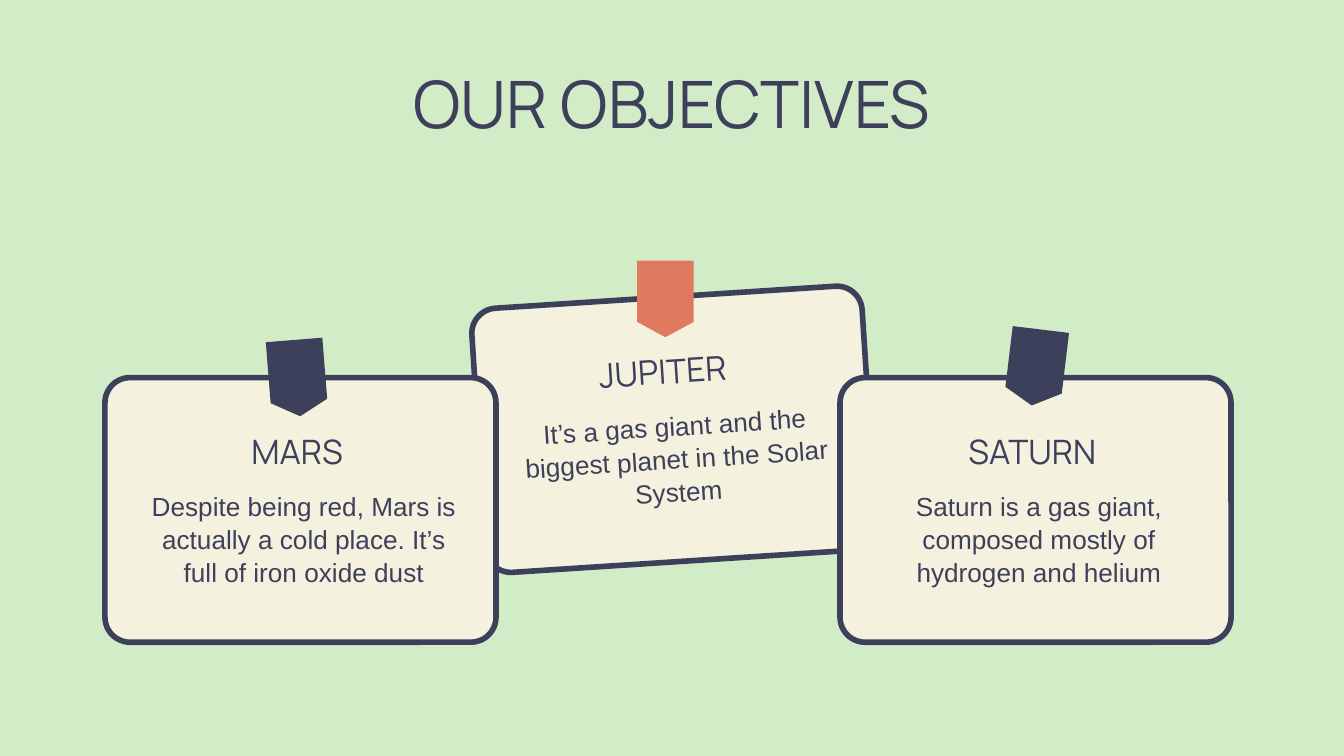
from pptx import Presentation
from pptx.dml.color import RGBColor
from pptx.enum.shapes import MSO_SHAPE
from pptx.enum.text import MSO_ANCHOR, PP_ALIGN
from pptx.util import Pt

MINT, CREAM, NAVY, CORAL = "D2ECC8", "F4F1DE", "3D405B", "E07A5F"
TITLE = "OUR OBJECTIVES"

# Back to front; pin and heading positions are measured from the card's corner.
CARDS = [
    dict(heading="JUPITER", body="It’s a gas giant and the biggest planet in the Solar System",
         left=256.3, top=159.1, tilt=356.3, heading_dx=15.8,
         pin=(85, -19.4), pin_tilt=0, pin_color=CORAL),
    dict(heading="SATURN", body="Saturn is a gas giant, composed mostly of hydrogen and helium",
         left=450, top=202.3, tilt=0, heading_dx=20.2,
         pin=(90, -25.9), pin_tilt=6.9, pin_color=NAVY),
    dict(heading="MARS", body="Despite being red, Mars is actually a cold place. It’s full of iron oxide dust",
         left=56.2, top=202.3, tilt=0, heading_dx=20.2,
         pin=(87.8, -20.2), pin_tilt=355.4, pin_color=NAVY),
]
CARD_SIZE = (209.5, 141.8)
PIN_SIZE = (30.4, 41)
HEADING_SIZE = (165.6, 25.9)
BODY_SIZE = (165.6, 66.2)
HEADING_DY, BODY_DX, BODY_DY = 24.5, 23.8, 59.8


def color(value):
    return RGBColor.from_string(value)


def add_shape(page, kind, left, top, size, fill, tilt):
    shape = page.shapes.add_shape(kind, Pt(left), Pt(top), *map(Pt, size))
    shape.shadow.inherit = False
    shape.rotation = tilt
    shape.fill.solid()
    shape.fill.fore_color.rgb = color(fill)
    shape.line.fill.background()
    return shape


def add_text(page, text, left, top, size, font, points, tilt=0,
             anchor=MSO_ANCHOR.TOP, spacing=1.0):
    box = page.shapes.add_textbox(Pt(left), Pt(top), *map(Pt, size))
    box.rotation = tilt
    frame = box.text_frame
    frame.word_wrap = True
    frame.vertical_anchor = anchor
    frame.margin_left = frame.margin_top = frame.margin_right = frame.margin_bottom = 0
    para = frame.paragraphs[0]
    para.text = text
    para.alignment = PP_ALIGN.CENTER
    para.line_spacing = spacing
    para.font.name = font
    para.font.size = Pt(points)
    para.font.color.rgb = color(NAVY)


def add_card(page, card):
    left, top, tilt = card["left"], card["top"], card["tilt"]
    panel = add_shape(page, MSO_SHAPE.ROUNDED_RECTANGLE, left, top, CARD_SIZE, CREAM, tilt)
    panel.adjustments[0] = 0.095
    panel.line.color.rgb = color(NAVY)
    panel.line.width = Pt(3)

    pin_dx, pin_dy = card["pin"]
    add_shape(page, MSO_SHAPE.FLOWCHART_OFFPAGE_CONNECTOR, left + pin_dx, top + pin_dy,
              PIN_SIZE, card["pin_color"], card["pin_tilt"])
    add_text(page, card["heading"], left + card["heading_dx"], top + HEADING_DY,
             HEADING_SIZE, "Manrope", 18, tilt, MSO_ANCHOR.BOTTOM)
    add_text(page, card["body"], left + BODY_DX, top + BODY_DY,
             BODY_SIZE, "Arial", 14, tilt, spacing=1.05)


deck = Presentation()
deck.slide_width, deck.slide_height = Pt(720), Pt(405)
page = deck.slides.add_slide(deck.slide_layouts[6])
page.background.fill.solid()
page.background.fill.fore_color.rgb = color(MINT)

add_text(page, TITLE, 56.2, 33.8, (607.6, 94.3), "Manrope", 35)
for card in CARDS:
    add_card(page, card)

deck.save("out.pptx")
